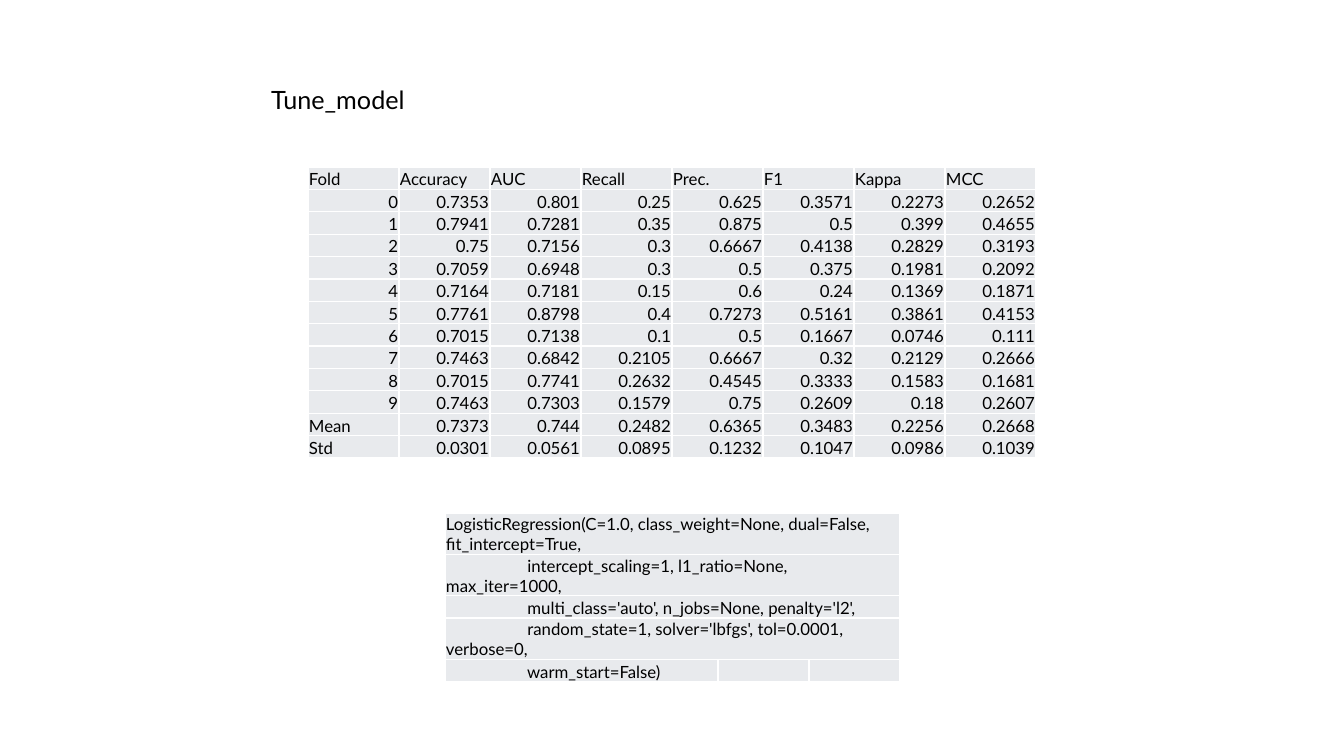
from lxml import etree
from pptx import Presentation
from pptx.dml import color
from pptx.enum import text
from pptx.oxml import ns
from pptx import util as u

PX = 12192000 / 1344
FONT = {"name": "Lato", "bold": False}

SCORES = """Fold Accuracy AUC Recall Prec. F1 Kappa MCC
0 0.7353 0.801 0.25 0.625 0.3571 0.2273 0.2652
1 0.7941 0.7281 0.35 0.875 0.5 0.399 0.4655
2 0.75 0.7156 0.3 0.6667 0.4138 0.2829 0.3193
3 0.7059 0.6948 0.3 0.5 0.375 0.1981 0.2092
4 0.7164 0.7181 0.15 0.6 0.24 0.1369 0.1871
5 0.7761 0.8798 0.4 0.7273 0.5161 0.3861 0.4153
6 0.7015 0.7138 0.1 0.5 0.1667 0.0746 0.111
7 0.7463 0.6842 0.2105 0.6667 0.32 0.2129 0.2666
8 0.7015 0.7741 0.2632 0.4545 0.3333 0.1583 0.1681
9 0.7463 0.7303 0.1579 0.75 0.2609 0.18 0.2607
Mean 0.7373 0.744 0.2482 0.6365 0.3483 0.2256 0.2668
Std 0.0301 0.0561 0.0895 0.1232 0.1047 0.0986 0.1039"""

CODE = """LogisticRegression(C=1.0, class_weight=None, dual=False, fit_intercept=True,
                   intercept_scaling=1, l1_ratio=None, max_iter=1000,
                   multi_class='auto', n_jobs=None, penalty='l2',
                   random_state=1, solver='lbfgs', tol=0.0001, verbose=0,
                   warm_start=False)"""


def px(n):
    return u.Emu(round(n * PX))


def rgb(code):
    return color.RGBColor.from_string(code)


def apply(item, values):
    for key, value in values.items():
        setattr(item, key, value)


def style(font, size):
    apply(font, {**FONT, "size": u.Pt(size)})
    font.color.rgb = rgb("000000")


def border(cell, code):
    props = cell._tc.get_or_add_tcPr()
    for side in ("lnL", "lnR", "lnT", "lnB"):
        line = etree.SubElement(props, ns.qn(f"a:{side}"), w=str(u.Pt(1)))
        fill = etree.SubElement(line, ns.qn("a:solidFill"))
        etree.SubElement(fill, ns.qn("a:srgbClr"), val=code)


def fill_cell(cell, words, align):
    apply(cell, {
        "margin_left": px(1), "margin_right": px(1),
        "margin_top": px(1), "margin_bottom": 0,
        "vertical_anchor": text.MSO_ANCHOR.BOTTOM,
    })
    border(cell, "FFFFFF")
    cell.fill.solid()
    cell.fill.fore_color.rgb = rgb("E8EAED")
    para = cell.text_frame.paragraphs[0]
    para.alignment = align
    if words:
        run = para.add_run()
        run.text = words
        style(run.font, 12)
    else:
        etree.SubElement(para._p, ns.qn("a:endParaRPr"), sz="1200")


def add_grid(slide, rows, box, widths):
    frame = slide.shapes.add_table(len(rows), len(widths), *map(px, box))
    grid = frame.table
    apply(grid, {"first_row": False, "horz_banding": False})
    for col, width in zip(grid.columns, widths):
        col.width = px(width)
    for r, row in enumerate(rows):
        for c, words in enumerate(row):
            digit = words[:1].isdigit()
            align = text.PP_ALIGN.RIGHT if digit else text.PP_ALIGN.LEFT
            fill_cell(grid.cell(r, c), words, align)
    return grid


def add_title(slide, words, box):
    title = slide.shapes.title
    apply(title, dict(zip(("left", "top", "width", "height"), map(px, box))))
    frame = title.text_frame
    frame.text = words
    apply(frame, {
        "word_wrap": True,
        "auto_size": text.MSO_AUTO_SIZE.SHAPE_TO_FIT_TEXT,
        "vertical_anchor": text.MSO_ANCHOR.TOP,
    })
    para = frame.paragraphs[0]
    para.alignment = text.PP_ALIGN.LEFT
    style(para.runs[0].font, 18)


def main():
    deck = Presentation()
    apply(deck, {"slide_width": px(1344), "slide_height": px(756)})
    slide = deck.slides.add_slide(deck.slide_layouts[5])
    add_title(slide, "Tune_model", (261, 79, 348, 40))

    scores = [line.split() for line in SCORES.splitlines()]
    add_grid(slide, scores, (308, 167, 728, 291), [91] * 8)

    code = [(line, "", "") for line in CODE.splitlines()]
    grid = add_grid(slide, code, (445, 513, 455, 112), [273, 91, 91])
    for r in range(len(code) - 1):
        grid.cell(r, 0).merge(grid.cell(r, 2))

    deck.save("out.pptx")


if __name__ == "__main__":
    main()
